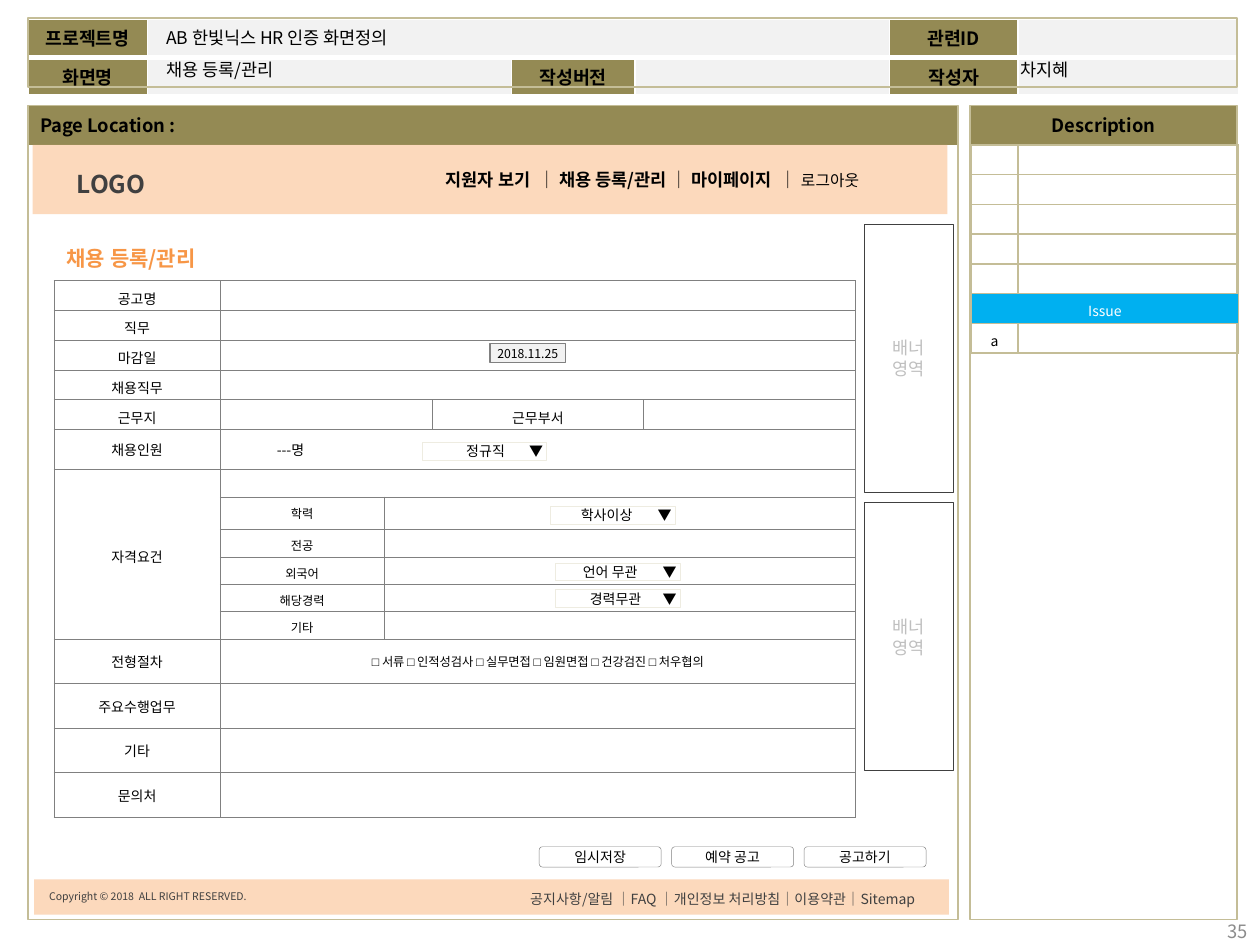
from dataclasses import dataclass, field, replace

from lxml import etree
from pptx import Presentation
from pptx.dml.color import RGBColor
from pptx.enum import shapes, text
from pptx.oxml import ns
from pptx.util import Cm, Pt

BLACK = RGBColor(0, 0, 0)
WHITE = RGBColor(0xFF, 0xFF, 0xFF)
OLIVE = RGBColor(0x94, 0x8A, 0x54)
SAND = RGBColor(0xC4, 0xBD, 0x97)
CREAM = RGBColor(0xEE, 0xEC, 0xE1)
PEACH = RGBColor(0xFA, 0xC0, 0x90)
ORANGE = RGBColor(0xF7, 0x96, 0x46)
BLUE = RGBColor(0x00, 0xB0, 0xF0)
PALE = RGBColor(0xF2, 0xF2, 0xF2)
DARK = RGBColor(0x40, 0x40, 0x40)
GRAY = RGBColor(0x80, 0x80, 0x80)
PAGE_GRAY = RGBColor(0x8C, 0x8C, 0x8C)
LIGHT_GRAY = RGBColor(0xBF, 0xBF, 0xBF)
LEFT, CENTER, RIGHT = text.PP_ALIGN.LEFT, text.PP_ALIGN.CENTER, text.PP_ALIGN.RIGHT
TOP, MIDDLE = text.MSO_ANCHOR.TOP, text.MSO_ANCHOR.MIDDLE
RECTANGLE = shapes.MSO_SHAPE.RECTANGLE


@dataclass(frozen=True)
class Style:
    size: float = 8
    color: RGBColor = BLACK
    bold: bool = False
    align: text.PP_ALIGN = CENTER
    font: str = "Noto Sans CJK KR"


@dataclass
class Box:
    """Place and size in centimetres."""
    left: float
    top: float
    width: float
    height: float


@dataclass
class Grid:
    """A table: texts, styles, fills and spans are keyed by (row, column)."""
    left: float
    top: float
    columns: list[float]
    rows: list[float]
    border: RGBColor
    line_width: float
    texts: dict
    style: Style = Style()
    styles: dict = field(default_factory=dict)
    fills: dict = field(default_factory=dict)
    spans: dict = field(default_factory=dict)
    row_line_width: float | None = None
    anchor: text.MSO_ANCHOR = MIDDLE


def format_run(run, style: Style) -> None:
    font = run.font
    font.size, font.bold, font.name = Pt(style.size), style.bold, style.font
    font.color.rgb = style.color
    etree.SubElement(run._r.get_or_add_rPr(), ns.qn("a:ea"), typeface=style.font)


def write(frame, content: str, style: Style) -> None:
    frame.text = content
    for paragraph in frame.paragraphs:
        paragraph.alignment = style.align
        for run in paragraph.runs:
            format_run(run, style)


def write_parts(paragraph, parts: list[tuple[str, Style]]) -> None:
    for content, style in parts:
        run = paragraph.add_run()
        run.text = content
        format_run(run, style)


def place(box: Box) -> tuple:
    return Cm(box.left), Cm(box.top), Cm(box.width), Cm(box.height)


def add_text(slide, box: Box, content: str, style: Style, wrap: bool = True, anchor=TOP):
    frame = slide.shapes.add_textbox(*place(box)).text_frame
    frame.word_wrap, frame.vertical_anchor = wrap, anchor
    write(frame, content, style)
    return frame


def add_box(slide, box: Box, fill=None, line=None, line_width: float = 1,
            content: str = "", style: Style = Style(), kind=RECTANGLE, wrap: bool = True):
    shape = slide.shapes.add_shape(kind, *place(box))
    shape.shadow.inherit = False
    if fill is None:
        shape.fill.background()
    else:
        shape.fill.solid()
        shape.fill.fore_color.rgb = fill
    if line is None:
        shape.line.fill.background()
    else:
        shape.line.color.rgb, shape.line.width = line, Pt(line_width)
    if content:
        shape.text_frame.word_wrap = wrap
        shape.text_frame.vertical_anchor = MIDDLE
        write(shape.text_frame, content, style)
    return shape


def add_band(slide, box: Box) -> None:
    """Translucent peach strip."""
    color = add_box(slide, box, PEACH).fill._xPr.find(".//" + ns.qn("a:srgbClr"))
    etree.SubElement(color, ns.qn("a:alpha"), val="60000")


def add_dropdown(slide, left: float, top: float, label: str, offset: float) -> None:
    shape = add_box(slide, Box(left, top, 2.51, 0.36), WHITE, CREAM, 0.5,
                    f"{label}\t▼", Style(align=LEFT))
    frame = shape.text_frame
    frame.margin_left = Cm(offset)
    frame.margin_right = frame.margin_top = frame.margin_bottom = 0
    properties = frame.paragraphs[0]._p.get_or_add_pPr()
    stops = etree.SubElement(properties, ns.qn("a:tabLst"))
    etree.SubElement(stops, ns.qn("a:tab"), pos=str(Cm(2.16 - offset)), algn="l")


def set_borders(cell, color: RGBColor, column_width: float, row_width: float) -> None:
    properties = cell._tc.get_or_add_tcPr()
    for side in "LRTB":
        width = column_width if side in "LR" else row_width
        line = etree.SubElement(properties, ns.qn(f"a:ln{side}"), w=str(Pt(width)))
        fill = etree.SubElement(line, ns.qn("a:solidFill"))
        etree.SubElement(fill, ns.qn("a:srgbClr"), val=str(color))


def add_grid(slide, grid: Grid):
    box = Box(grid.left, grid.top, sum(grid.columns), sum(grid.rows))
    table = slide.shapes.add_table(len(grid.rows), len(grid.columns), *place(box)).table
    table.first_row = table.horz_banding = False
    for column, width in zip(table.columns, grid.columns):
        column.width = Cm(width)
    for r, height in enumerate(grid.rows):
        table.rows[r].height = Cm(height)
        for c in range(len(grid.columns)):
            cell = table.cell(r, c)
            cell.vertical_anchor = grid.anchor
            cell.margin_top = Cm(0.13)
            cell.margin_bottom = Cm(0.04 if height < 0.65 else 0.13)
            set_borders(cell, grid.border, grid.line_width,
                        grid.row_line_width or grid.line_width)
            if (r, c) in grid.fills:
                cell.fill.solid()
                cell.fill.fore_color.rgb = grid.fills[r, c]
            else:
                cell.fill.background()
            if (r, c) in grid.texts:
                write(cell.text_frame, grid.texts[r, c], grid.styles.get((r, c), grid.style))
            else:
                cell.text_frame.paragraphs[0]._p.get_or_add_endParaRPr().set("sz", "700")
    for (r, c), (height, width) in grid.spans.items():
        table.cell(r, c).merge(table.cell(r + height - 1, c + width - 1))
    return table


def add_frame(slide) -> None:
    """Project header, page panel and description panel."""
    heading = Style(10.5, bold=True)
    labels = {(0, 0): "프로젝트명", (0, 4): "관련ID", (1, 0): "화면명",
              (1, 2): "작성버전", (1, 4): "작성자"}
    fills = {(r, c): OLIVE if (r, c) in labels else PALE for r in range(2) for c in range(6)}
    add_grid(slide, Grid(0.56, 0.36, [2.41, 7.34, 2.49, 5.13, 2.59, 4.45], [0.79] * 2, WHITE, 1,
                         labels, heading, fills=fills, spans={(0, 1): (1, 3)},
                         row_line_width=3, anchor=TOP))
    for left, width, title, align in ((0.56, 18.75, "Page Location :", LEFT),
                                      (19.56, 5.38, "Description", CENTER)):
        add_box(slide, Box(left, 2.13, width, 0.79), OLIVE, content=title,
                style=replace(heading, align=align))
        add_box(slide, Box(left, 2.13, width, 16.41), line=SAND)
    add_box(slide, Box(0.56, 0.36, 24.38, 1.4), line=SAND)
    value = Style(10, align=LEFT)
    add_text(slide, Box(3.1, 0.41, 5.41, 0.69), "AB 한빛닉스 HR 인증 화면정의", value, False)
    add_text(slide, Box(20.27, 1.07, 1.57, 0.69), "차지혜", Style(10), False)
    add_text(slide, Box(3.1, 1.07, 2.9, 0.69), "채용 등록/관리", value, False)
    add_text(slide, Box(24.18, 18.26, 1.22, 1.02), "35",
             Style(10.5, PAGE_GRAY, align=RIGHT), anchor=MIDDLE)
    add_grid(slide, Grid(19.58, 2.92, [0.94, 4.45], [0.6] * 7, SAND, 1,
                         {(5, 0): "Issue", (6, 0): "a"}, styles={(5, 0): Style(color=WHITE)},
                         fills={(5, 0): BLUE, (5, 1): BLUE}, spans={(5, 0): (1, 2)}))


def add_site_bars(slide) -> None:
    add_band(slide, Box(0.66, 2.92, 18.44, 1.4))
    add_band(slide, Box(0.69, 17.73, 18.44, 0.71))
    add_text(slide, Box(0.74, 17.81, 9.4, 0.51), "Copyright © 2018  ALL RIGHT RESERVED.",
             Style(6, DARK, align=LEFT))
    add_text(slide, Box(10.44, 17.83, 8.76, 0.61),
             "공지사항/알림 │FAQ │개인정보 처리방침│이용약관│Sitemap", Style(8, DARK, align=LEFT))
    add_text(slide, Box(1.3, 3.28, 2.11, 0.86), "LOGO", Style(14, DARK, True, LEFT))
    menu = add_text(slide, Box(8.74, 3.28, 9.98, 0.69), "", Style())
    menu.paragraphs[0].alignment = LEFT
    write_parts(menu.paragraphs[0], [
        ("지원자 보기  │ 채용 등록/관리 │ 마이페이지  ", Style(10, bold=True)),
        ("│ ", Style(10)), ("로그아웃", Style(9))])
    for index in range(2):
        add_box(slide, Box(17.42, 4.52 + index * 5.61, 1.8, 5.41), line=DARK, line_width=0.5,
                content="배너\n영역", style=Style(10, LIGHT_GRAY))


def add_job_form(slide) -> None:
    labels = {0: "공고명", 1: "직무", 2: "마감일", 3: "채용직무", 4: "근무지", 5: "채용인원",
              6: "자격요건", 12: "전형절차", 13: "주요수행업무", 14: "기타", 15: "문의처"}
    requirements = {7: "학력", 8: "전공", 9: "외국어", 10: "해당경력", 11: "기타"}
    texts = {(r, 0): label for r, label in labels.items()}
    texts |= {(r, 1): label for r, label in requirements.items()}
    texts |= {(4, 3): "근무부서", (5, 1): "---명"}
    styles = {(r, 1): Style(7) for r in requirements} | {(5, 1): Style(align=LEFT)}
    spans = {(r, 2 if r in requirements else 1): (1, 3 if r in requirements else 4)
             for r in range(16)}
    spans |= {(4, 1): (1, 2), (6, 0): (6, 1)}
    rows = [0.6] * 5 + [0.81, 0.55, 0.66] + [0.55] * 4 + [0.9] * 4
    table = add_grid(slide, Grid(1.09, 5.66, [3.35, 3.3, 0.97, 4.27, 4.27], rows, GRAY, 0.5,
                                 texts, styles=styles, spans=spans))
    table.cell(5, 1).margin_left = Cm(1.14)
    steps = table.cell(12, 1).text_frame.paragraphs[0]
    steps.alignment = CENTER
    for step in ("서류 ", "인적성검사 ", "실무면접 ", "임원면접 ", "건강검진 ", "처우협의"):
        write_parts(steps, [("□", Style(7, font="Arial")), (f" {step}", Style(7))])
    add_box(slide, Box(9.88, 6.93, 1.52, 0.38), PALE, GRAY, 0.75, "2018.11.25", Style(7),
            wrap=False)
    for left, top, label, offset in ((8.51, 8.92, "정규직", 0.89), (11.1, 10.21, "학사이상", 0.61),
                                     (11.2, 11.89, "경력무관", 0.69), (11.2, 11.35, "언어 무관", 0.55)):
        add_dropdown(slide, left, top, label, offset)
    for index, label in enumerate(("임시저장", "예약 공고", "공고하기")):
        add_box(slide, Box(10.87 + index * 2.67, 17.07, 2.46, 0.41), line=GRAY, line_width=0.25,
                content=label, kind=shapes.MSO_SHAPE.ROUNDED_RECTANGLE, wrap=False)


def main() -> None:
    presentation = Presentation()
    presentation.slide_width, presentation.slide_height = Cm(25.4), Cm(19.05)
    slide = presentation.slides.add_slide(presentation.slide_layouts[5])
    title = slide.shapes.title
    title.left, title.top, title.width, title.height = place(Box(1.09, 4.83, 4.09, 0.76))
    title.text_frame.vertical_anchor = TOP
    title.text_frame.auto_size = text.MSO_AUTO_SIZE.NONE
    write(title.text_frame, "채용 등록/관리", Style(12, ORANGE, True, LEFT))
    add_frame(slide)
    add_site_bars(slide)
    add_job_form(slide)
    presentation.save("out.pptx")


if __name__ == "__main__":
    main()
